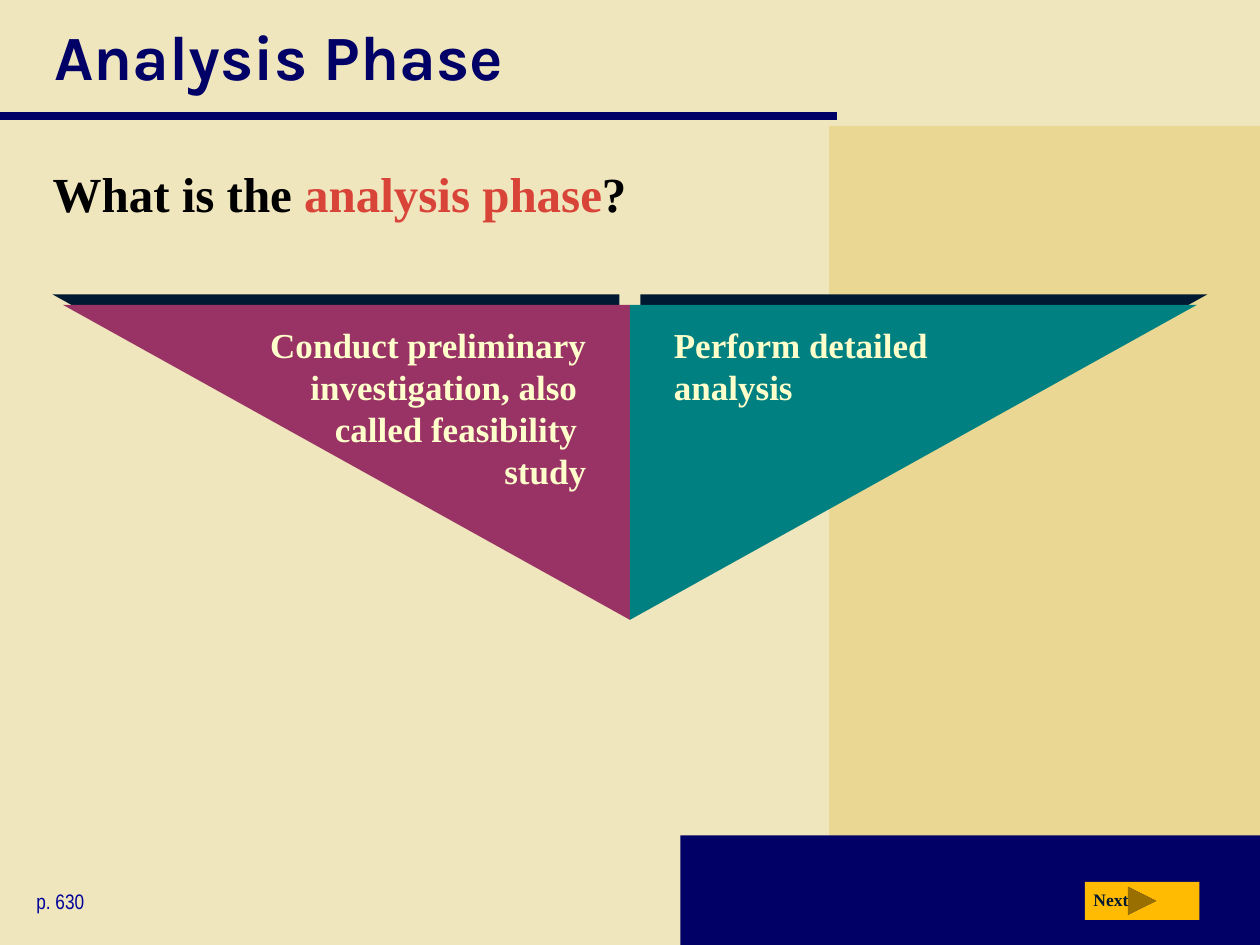
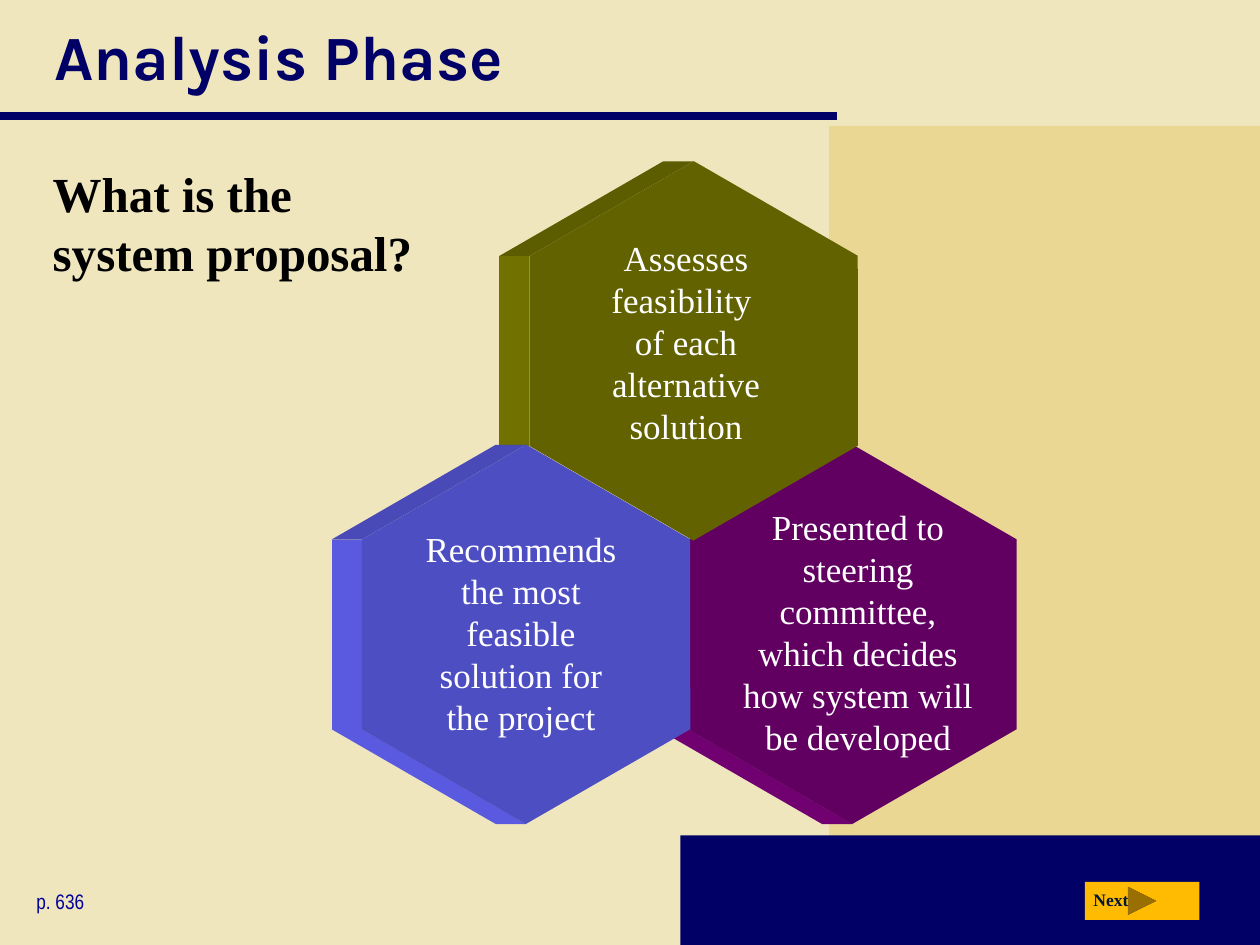
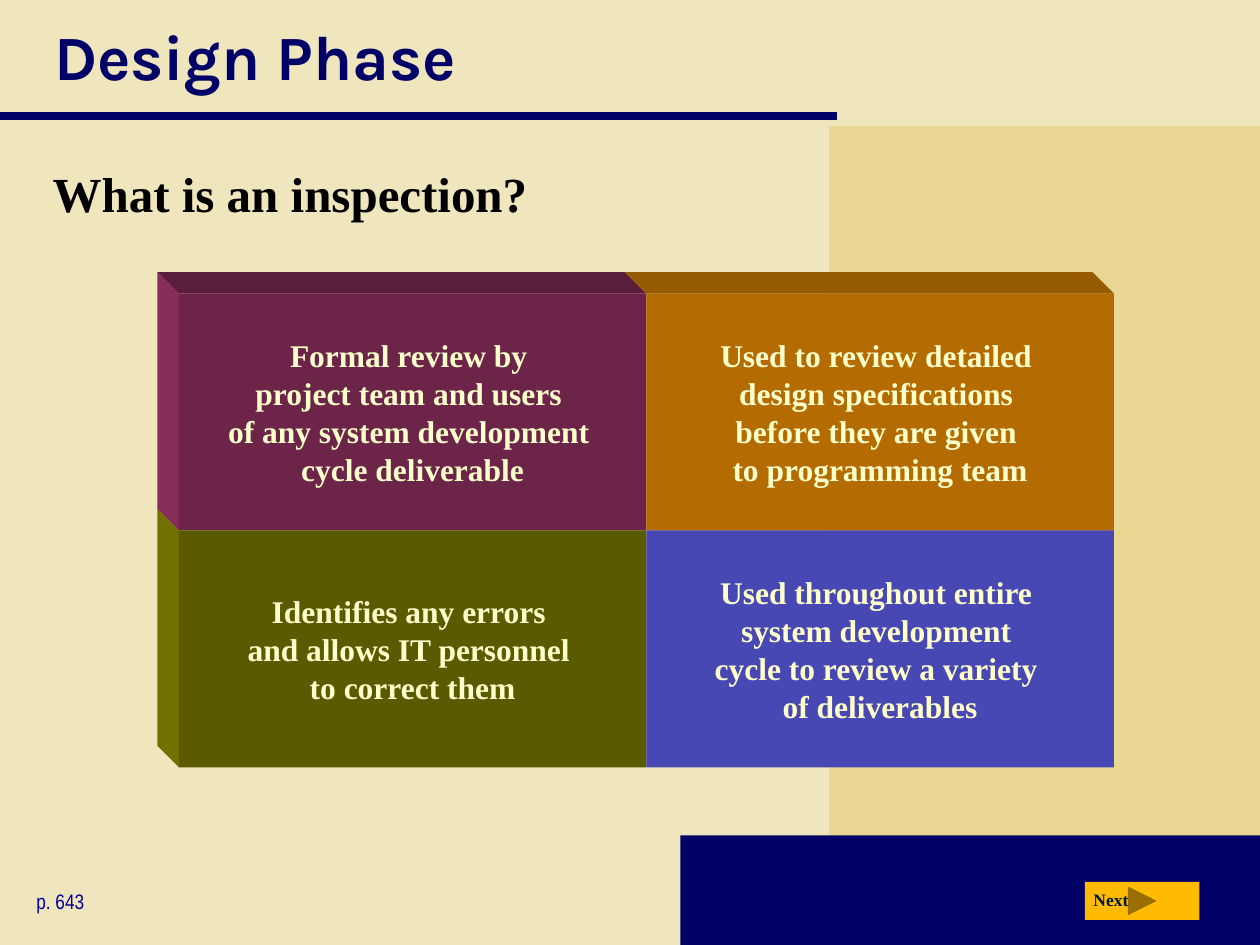
"""Build three systems-development slides with shared bands, titles and buttons."""
from math import cos, pi, sin

from lxml.etree import SubElement
from pptx import Presentation
from pptx.dml.color import RGBColor
from pptx.enum.shapes import MSO_CONNECTOR, MSO_SHAPE
from pptx.enum.text import MSO_ANCHOR, PP_ALIGN
from pptx.oxml.ns import qn
from pptx.util import Inches, Pt

CREAM = RGBColor(0xF0, 0xE6, 0xBE)
SAND = RGBColor(0xE9, 0xD7, 0x93)
NAVY = RGBColor(0x00, 0x00, 0x66)
PAGE_BLUE = RGBColor(0x00, 0x00, 0x99)
BLACK = RGBColor(0x00, 0x00, 0x00)
WHITE = RGBColor(0xFF, 0xFF, 0xFF)
RED = RGBColor(0xD9, 0x44, 0x39)
GOLD = RGBColor(0xFF, 0xBA, 0x02)
INK = RGBColor(0x00, 0x19, 0x32)
PALE = RGBColor(0xFF, 0xFF, 0xCC)
PLUM = RGBColor(0x99, 0x33, 0x66)
TEAL = RGBColor(0x00, 0x80, 0x80)
PURPLE = RGBColor(0x80, 0x00, 0x80)
OLIVE = RGBColor(0x80, 0x80, 0x00)
BLUE = RGBColor(0x66, 0x66, 0xFF)
ORANGE = RGBColor(0xFF, 0x99, 0x00)

SERIF = "Times New Roman"
WIDTH, HEIGHT = 10, 7.5

TRIANGLES = [
    ("Conduct preliminary investigation, also \ncalled feasibility \nstudy",
     PLUM, {"flipH": "1", "flipV": "1"}, 225, (1.33, 2.52, 3.42, 1.43), PP_ALIGN.RIGHT),
    ("Perform detailed analysis",
     TEAL, {"flipV": "1"}, 315, (5.25, 2.52, 2.5, 0.77), PP_ALIGN.LEFT),
]
TRIANGLE_WIDTH, TRIANGLE_HEIGHT, TRIANGLE_TOP = 4.5, 2.5, 2.42

HEXAGONS = [
    ("Presented to steering committee, which decides how system will be developed",
     PURPLE, (5.26, 3.73), (5.76, 3.96, 2.1, 2.1), ("lower",)),
    ("Assesses feasibility \nof each alternative solution",
     OLIVE, (4, 1.48), (4.51, 1.83, 1.87, 1.77), ("upper", "side")),
    ("Recommends the most feasible solution for the project",
     BLUE, (2.67, 3.73), (3.27, 4.14, 1.73, 1.77), ("upper", "side", "lower")),
]
HEXAGON_WIDTH, HEXAGON_HEIGHT, HEXAGON_DEPTH = 3.01, 2.61, 0.24
HEXAGON_EDGES = {"lower": (90, 150, 0.88), "side": (150, 210, 0.88), "upper": (210, 270, 0.72)}

TILES = [
    [("Formal review by \nproject team and users \nof any system development \ncycle deliverable", PLUM),
     ("Used to review detailed \ndesign specifications \nbefore they are given \nto programming team", ORANGE)],
    [("Identifies any errors \nand allows IT personnel \nto correct them", OLIVE),
     ("Used throughout entire \nsystem development \ncycle to review a variety \nof deliverables", BLUE)],
]
TILE_LEFT, TILE_TOP, TILE_WIDTH, TILE_HEIGHT, TILE_DEPTH = 1.42, 2.33, 3.71, 1.88, 0.17


def shade(colour, factor):
    return RGBColor(*(round(channel * factor) for channel in colour))


def paint(shape, colour):
    shape.shadow.inherit = False
    shape.fill.solid()
    shape.fill.fore_color.rgb = colour
    shape.line.fill.background()
    return shape


def add_filled(page, kind, frame, colour):
    return paint(page.shapes.add_shape(kind, *map(Inches, frame)), colour)


def add_face(page, points, colour):
    corners = [(Inches(x), Inches(y)) for x, y in points]
    builder = page.shapes.build_freeform(*corners[0])
    builder.add_line_segments(corners[1:], close=True)
    paint(builder.convert_to_shape(), colour)


def write(shape, text, size, colour, bold=False, align=PP_ALIGN.LEFT, font=SERIF):
    shape.text_frame.word_wrap = True
    para = shape.text_frame.paragraphs[0]
    para.text = text
    para.alignment = align
    para.font.name = font
    para.font.size = Pt(size)
    para.font.bold = bold
    para.font.color.rgb = colour
    return para


def add_text(page, frame, *args, **style):
    return write(page.shapes.add_textbox(*map(Inches, frame)), *args, **style)


def add_page(deck, title, question, number):
    page = deck.slides.add_slide(deck.slide_layouts[5])
    for left, top, colour in ((6.58, 1, SAND), (5.4, 6.63, NAVY)):
        add_filled(page, MSO_SHAPE.RECTANGLE, (left, top, WIDTH - left, HEIGHT - top), colour)
    rule = page.shapes.add_connector(
        MSO_CONNECTOR.STRAIGHT, 0, Inches(0.92), Inches(6.64), Inches(0.92))
    rule.line.color.rgb = NAVY
    rule.line.width = Pt(5)
    SubElement(rule._element.spPr, qn("a:effectLst"))

    heading = page.shapes.title
    heading.left, heading.top, heading.width, heading.height = map(Inches, (0.33, 0, 9.39, 0.88))
    heading.text_frame.vertical_anchor = MSO_ANCHOR.MIDDLE
    write(heading, title, 36, NAVY, bold=True, font="Karla")

    first, *others = question
    para = add_text(page, (0.32, 1.25, 9.39, 0.81), first, 28, BLACK, bold=True)
    for text, colour in others:
        span = para.add_run()
        span.text = text
        span.font.color.rgb = colour

    add_text(page, (0.19, 7, 1.69, 0.3), f"p. {number}", 12, PAGE_BLUE, font="Arial Narrow")
    add_filled(page, MSO_SHAPE.ACTION_BUTTON_FORWARD_OR_NEXT, (8.61, 7, 0.91, 0.3), GOLD)
    add_text(page, (8.58, 7.01, 0.51, 0.27), "Next", 10, INK, bold=True)
    return page


def add_shadow(shape, angle):
    effects = shape._element.spPr.find(qn("a:effectLst"))
    shadow = SubElement(effects, qn("a:outerShdw"), dist=str(Pt(8.5)),
                        dir=str(angle * 60000), algn="ctr", rotWithShape="0")
    SubElement(shadow, qn("a:srgbClr"), val=str(INK))


def add_triangles(page):
    for column, (text, colour, flips, angle, frame, align) in enumerate(TRIANGLES):
        left = WIDTH / 2 + (column - 1) * TRIANGLE_WIDTH
        triangle = add_filled(page, MSO_SHAPE.RIGHT_TRIANGLE,
                              (left, TRIANGLE_TOP, TRIANGLE_WIDTH, TRIANGLE_HEIGHT), colour)
        for name, value in flips.items():
            triangle._element.spPr.find(qn("a:xfrm")).set(name, value)
        add_shadow(triangle, angle)
        add_text(page, frame, text, 20, PALE, bold=True, align=align)


def add_hexagons(page):
    radius = HEXAGON_WIDTH / 2
    for text, colour, (left, top), frame, edges in HEXAGONS:
        middle_x, middle_y = left + radius, top + HEXAGON_HEIGHT / 2
        for edge in edges:
            start, end, factor = HEXAGON_EDGES[edge]
            (x1, y1), (x2, y2) = [
                (middle_x + radius * cos(angle * pi / 180), middle_y + radius * sin(angle * pi / 180))
                for angle in (start, end)]
            add_face(page, [(x1, y1), (x2, y2), (x2 - HEXAGON_DEPTH, y2), (x1 - HEXAGON_DEPTH, y1)],
                     shade(colour, factor))
        hexagon = add_filled(page, MSO_SHAPE.HEXAGON,
                             (left, top, HEXAGON_WIDTH, HEXAGON_HEIGHT), shade(colour, 0.765))
        hexagon.adjustments[0] = 0.289
        hexagon.rotation = 30
        add_text(page, frame, text, 20, WHITE, align=PP_ALIGN.CENTER)


def add_tiles(page):
    for row, tiles in enumerate(TILES):
        for column, (text, colour) in enumerate(tiles):
            left, top = TILE_LEFT + column * TILE_WIDTH, TILE_TOP + row * TILE_HEIGHT
            right, bottom = left + TILE_WIDTH, top + TILE_HEIGHT
            back_left, back_top = left - TILE_DEPTH, top - TILE_DEPTH
            if row == 0:
                add_face(page, [(left, top), (right, top), (right - TILE_DEPTH, back_top),
                                (back_left, back_top)], shade(colour, 0.59))
            if column == 0:
                add_face(page, [(left, top), (left, bottom), (back_left, bottom - TILE_DEPTH),
                                (back_left, back_top)], shade(colour, 0.88))
            tile = add_filled(page, MSO_SHAPE.RECTANGLE,
                              (left, top, TILE_WIDTH, TILE_HEIGHT), shade(colour, 0.706))
            tile.text_frame.vertical_anchor = MSO_ANCHOR.MIDDLE
            write(tile, text, 18, PALE, bold=True, align=PP_ALIGN.CENTER)


PAGES = [
    ("Analysis Phase", ["What is the ", ("analysis phase", RED), ("?", BLACK)], 630, add_triangles),
    ("Analysis Phase", ["What is the \nsystem proposal?"], 636, add_hexagons),
    ("Design Phase", ["What is an inspection?"], 643, add_tiles),
]


def main():
    deck = Presentation()
    deck.slide_width, deck.slide_height = Inches(WIDTH), Inches(HEIGHT)
    background = deck.slide_master.background.fill
    background.solid()
    background.fore_color.rgb = CREAM
    for title, question, number, add_diagram in PAGES:
        add_diagram(add_page(deck, title, question, number))
    deck.save("out.pptx")


if __name__ == "__main__":
    main()
